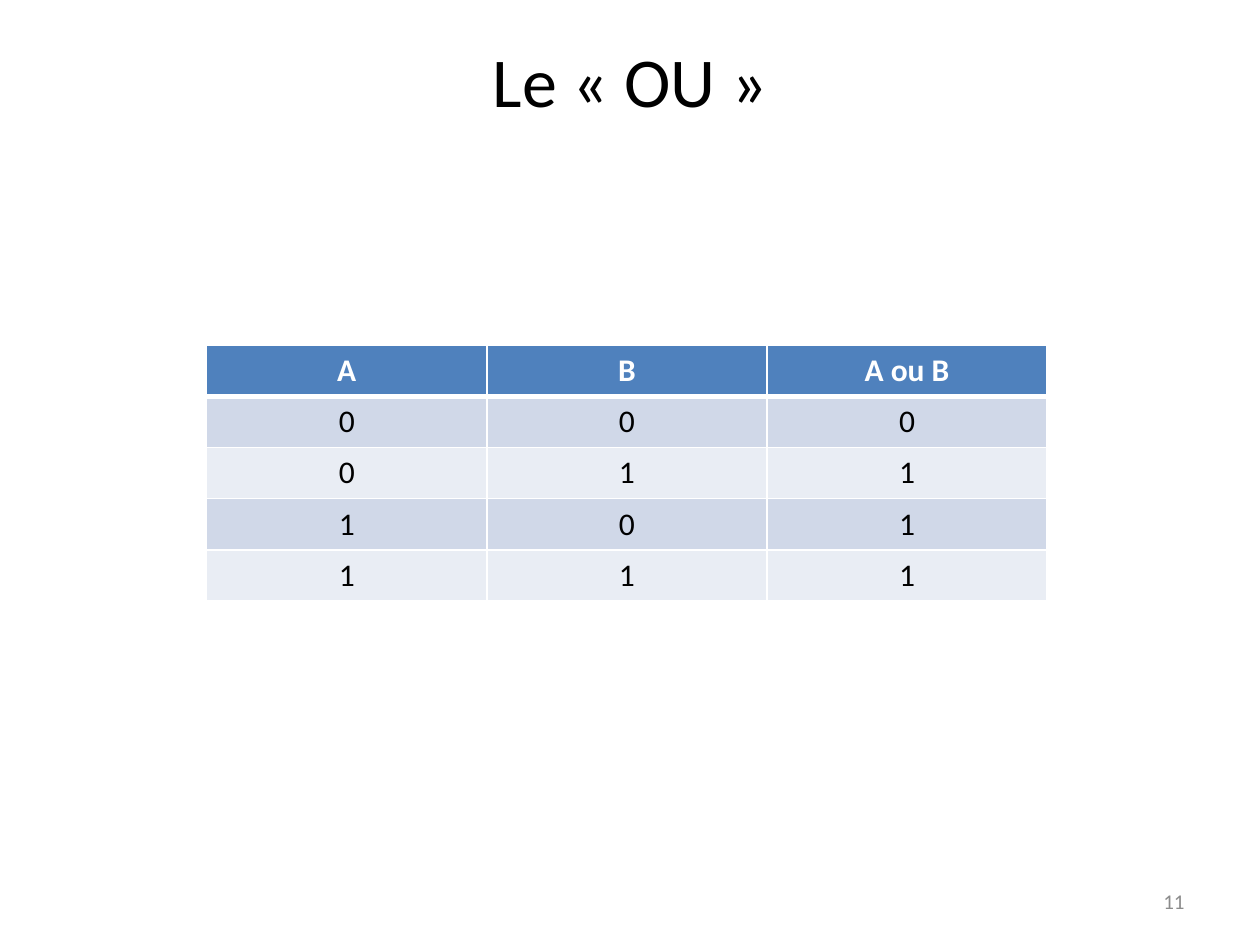
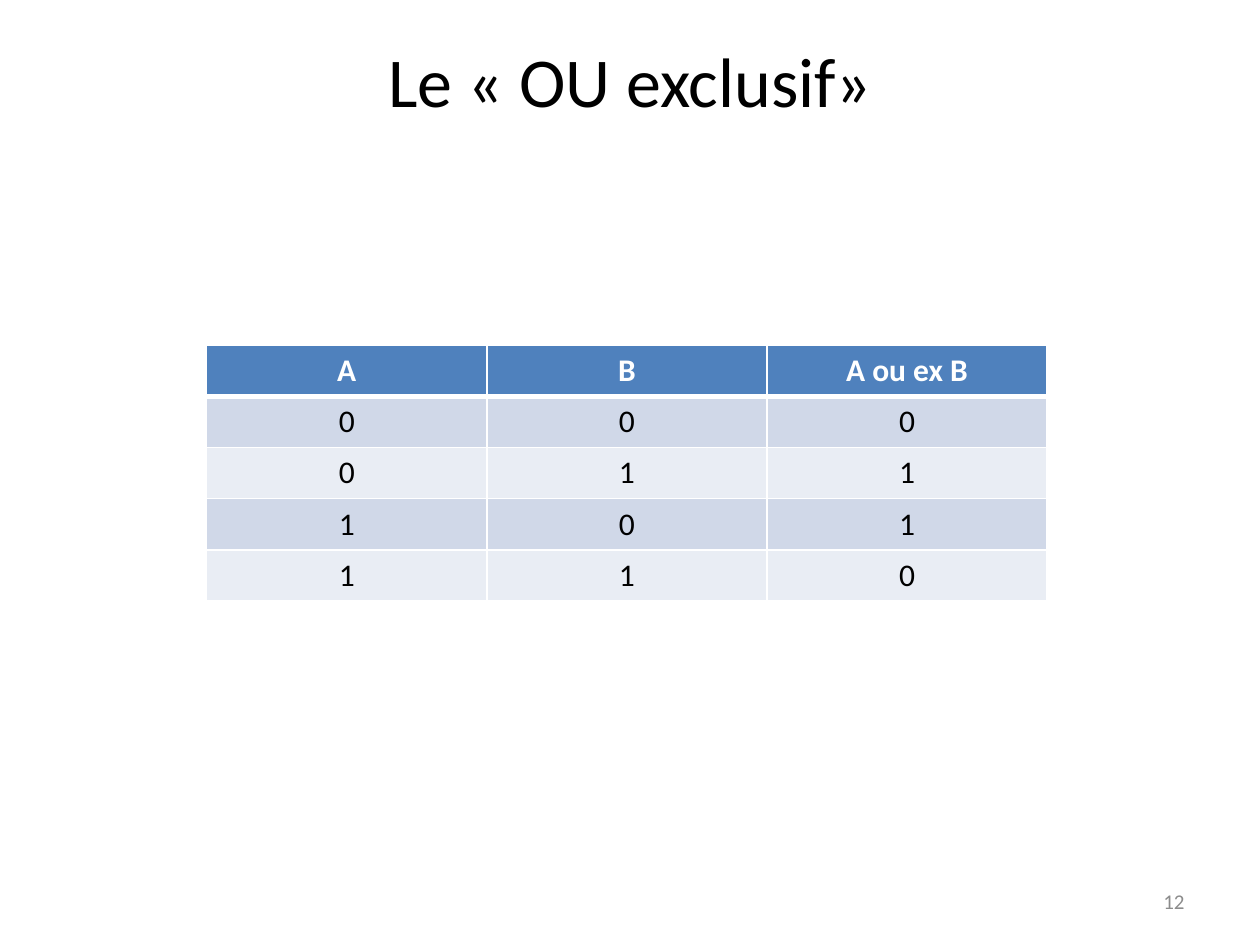
"""Builds two slides with the truth tables of OR and exclusive OR."""
from itertools import product

from pptx import Presentation, util as u
from pptx.dml.color import RGBColor
from pptx.enum import text
from pptx.oxml import parse_xml
from pptx.oxml.ns import nsdecls

FONT = "Calibri"
BLACK = RGBColor(0x00, 0x00, 0x00)
WHITE = RGBColor(0xFF, 0xFF, 0xFF)
GREY = RGBColor(0x8C, 0x8C, 0x8C)
HEADER = RGBColor(0x4F, 0x81, 0xBD)
BANDS = [RGBColor(0xE9, 0xED, 0xF4), RGBColor(0xD0, 0xD8, 0xE8)]
COLUMNS, ROWS = 3, 5
PAGES = [
    (11, "Le «\u00a0OU\u00a0»", "A ou B", lambda a, b: a | b),
    (12, "Le «\u00a0OU\u00a0exclusif»", "A ou ex B", lambda a, b: a ^ b),
]


def write(frame, words, size=18, color=BLACK, bold=False,
          align=text.PP_ALIGN.CENTER, anchor=text.MSO_ANCHOR.TOP):
    frame.word_wrap = True
    frame.vertical_anchor = anchor
    para = frame.paragraphs[0]
    para.alignment = align
    span = para.add_run()
    span.text = words
    span.font.name = FONT
    span.font.size = u.Pt(size)
    span.font.bold = bold
    span.font.color.rgb = color


def add_border(cell, side, width):
    cell._tc.get_or_add_tcPr().append(parse_xml(
        f'<a:ln{side} {nsdecls("a")} w="{u.Pt(width)}"><a:solidFill>'
        f'<a:srgbClr val="{WHITE}"/></a:solidFill></a:ln{side}>'))


deck = Presentation()
deck.slide_width, deck.slide_height = u.Inches(10), u.Inches(7.5)

for number, heading, result, operator in PAGES:
    page = deck.slides.add_slide(deck.slide_layouts[5])
    title = page.shapes.title
    title.left, title.top = u.Inches(0.5), u.Inches(0.25)
    title.width, title.height = u.Inches(9), u.Inches(1.25)
    write(title.text_frame, heading, size=40)

    box = page.shapes.add_textbox(
        u.Inches(7.17), u.Inches(6.95), u.Inches(2.33), u.Inches(0.4))
    write(box.text_frame, str(number), size=12, color=GREY,
          align=text.PP_ALIGN.RIGHT, anchor=text.MSO_ANCHOR.MIDDLE)

    table = page.shapes.add_table(
        ROWS, COLUMNS, u.Inches(1.64), u.Inches(2.74),
        u.Inches(6.67), u.Inches(2.03)).table
    truth = [(a, b, operator(a, b)) for a, b in product((0, 1), repeat=2)]
    for row, values in enumerate([("A", "B", result), *truth]):
        is_header = row == 0
        for column, value in enumerate(values):
            cell = table.cell(row, column)
            write(cell.text_frame, str(value), bold=is_header,
                  color=WHITE if is_header else BLACK)
            for side in "LRTB":
                thick = (row, side) in ((0, "B"), (1, "T"))
                add_border(cell, side, 3 if thick else 1)
            cell.fill.solid()
            cell.fill.fore_color.rgb = HEADER if is_header else BANDS[row % 2]

deck.save("out.pptx")
